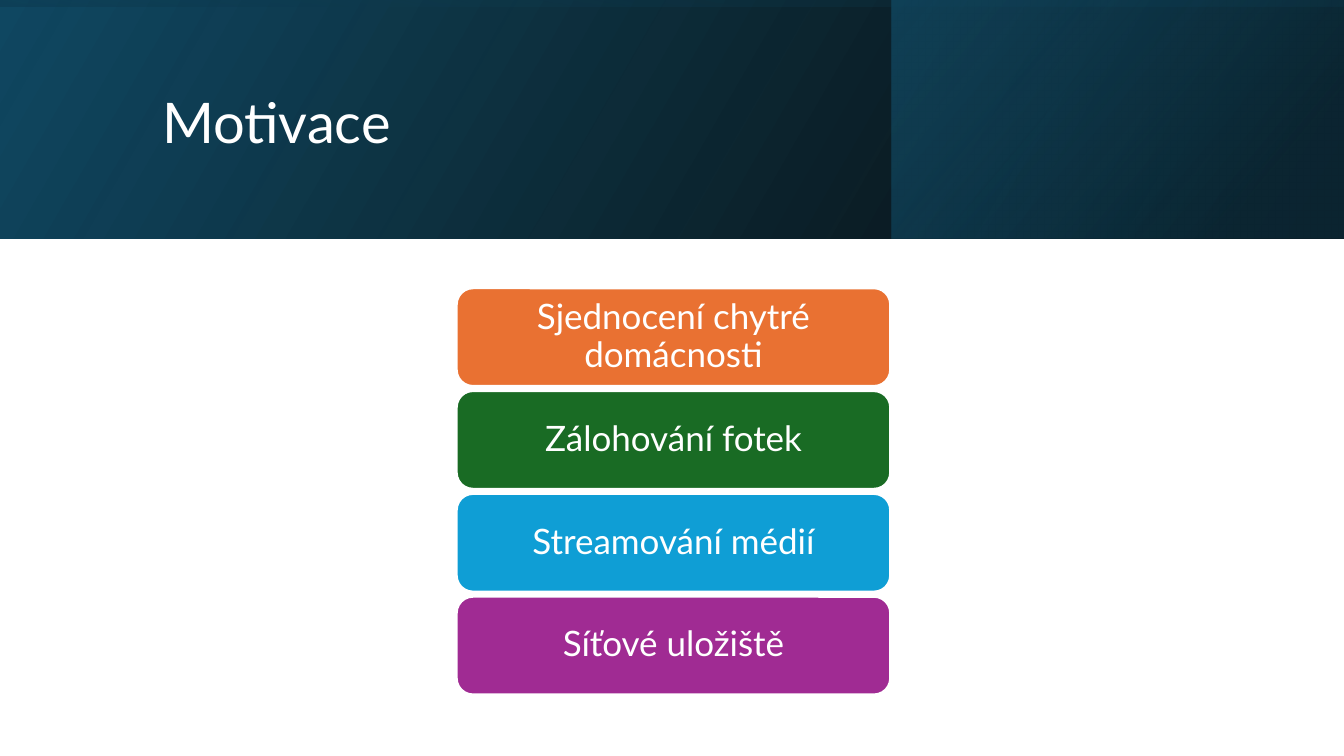
from lxml import etree
from pptx import Presentation
from pptx import util as u
from pptx.dml.color import RGBColor
from pptx.enum import shapes, text
from pptx.oxml.ns import qn

FONT = "Lato"
WHITE = "FFFFFF"
BAND_HEIGHT = 2.37
CARDS = [
    ("Sjednocení chytré domácnosti", "E97132"),
    ("Zálohování fotek", "196B24"),
    ("Streamování médií", "0F9ED5"),
    ("Síťové uložiště", "A02B93"),
]


def color(value):
    return RGBColor.from_string(value)


def write(frame, words, size, alignment, insets):
    frame.word_wrap = True
    frame.vertical_anchor = text.MSO_ANCHOR.MIDDLE
    frame.margin_left = frame.margin_right = u.Inches(insets[0])
    frame.margin_top = frame.margin_bottom = u.Inches(insets[1])
    paragraph = frame.paragraphs[0]
    paragraph.alignment = alignment
    paragraph.line_spacing = 0.9
    run = paragraph.add_run()
    run.text = words
    run.font.size = u.Pt(size)
    run.font.name = FONT
    run.font.color.rgb = color(WHITE)


def add_gradient_panel(slide, box, stops, angle, rotation=0):
    """Mirrored rectangle; each stop is position, colour and opacity in percent."""
    shape = slide.shapes.add_shape(
        shapes.MSO_SHAPE.RECTANGLE, *[u.Inches(length) for length in box])
    shape.shadow.inherit = False
    shape.line.fill.background()
    shape.rotation = rotation
    properties = shape._element.spPr
    properties.find(qn("a:xfrm")).set("flipH", "1")
    shape.fill.gradient()
    shape.fill.gradient_angle = 360 - angle
    for stop, (position, value, opacity) in zip(shape.fill.gradient_stops, stops):
        stop.position = position / 100
        stop.color.rgb = color(value)
    for node, (_, _, opacity) in zip(properties.iter(qn("a:srgbClr")), stops):
        etree.SubElement(node, qn("a:alpha")).set("val", str(opacity * 1000))


def add_header(slide, left, top, width, height):
    # Layered gradients
    add_gradient_panel(slide, (left, top, width, height),
                       [(0, "000000", 96), (100, "104862", 100)], 330)
    add_gradient_panel(slide, (left + 8.84, top, width - 8.84, height),
                       [(19, "0B3041", 68), (100, "156082", 48)], 320)
    # Upright panel turned to lie over the whole band
    shift = (width - height) / 2
    add_gradient_panel(slide, (left + shift, top - shift, height, width),
                       [(23, "104862", 16), (99, "000000", 45)], 350, 270)
    # Title
    title = slide.shapes.add_textbox(
        u.Inches(left + 1.51), u.Inches(top + 0.38), u.Inches(10.63), u.Inches(1.72))
    write(title.text_frame, "Motivace", 40, text.PP_ALIGN.LEFT, (0.1, 0.05))


def add_cards(slide, left, top, width, height, gap=0.05):
    card_height = (height - gap * (len(CARDS) - 1)) / len(CARDS)
    for index, (words, fill) in enumerate(CARDS):
        card = slide.shapes.add_shape(
            shapes.MSO_SHAPE.ROUNDED_RECTANGLE, u.Inches(left),
            u.Inches(top + index * (card_height + gap)),
            u.Inches(width), u.Inches(card_height))
        card.shadow.inherit = False
        card.fill.solid()
        card.fill.fore_color.rgb = color(fill)
        card.line.color.rgb = color(WHITE)
        card.line.width = u.Pt(1.5)
        write(card.text_frame, words, 25, text.PP_ALIGN.CENTER, (0.15, 0.1))


def main():
    presentation = Presentation()
    presentation.slide_width = u.Inches(13.33)
    presentation.slide_height = u.Inches(7.5)
    slide = presentation.slides.add_slide(presentation.slide_layouts[6])
    add_header(slide, 0, 0, 13.33, BAND_HEIGHT)
    add_cards(slide, 4.53, 2.86, 4.3, 4.03)
    presentation.save("out.pptx")


if __name__ == "__main__":
    main()
